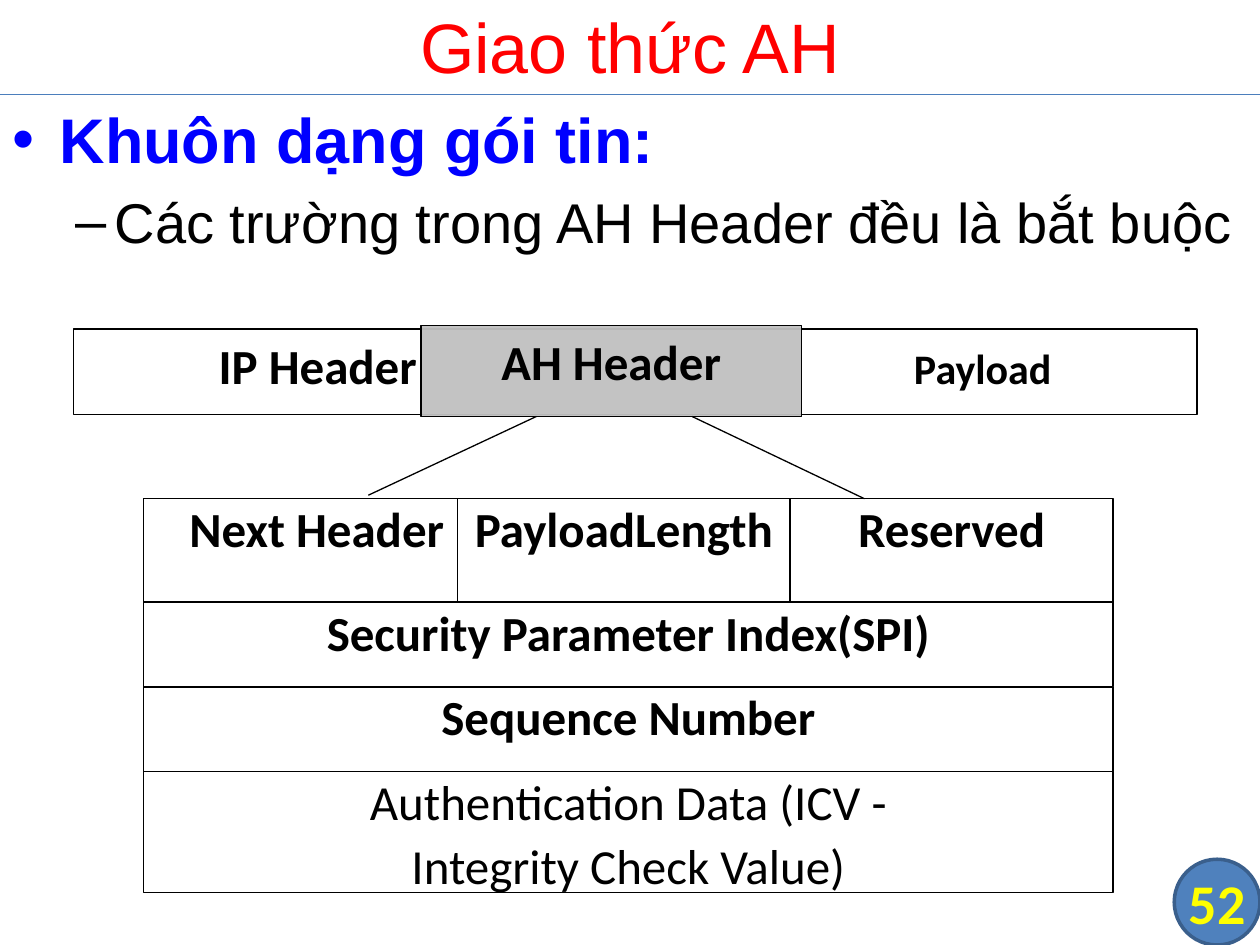
from lxml import etree
from pptx import Presentation
from pptx.dml.color import RGBColor
from pptx.enum import shapes, text
from pptx.oxml import ns
from pptx.util import Pt

TITLE_ONLY = 5
BLACK, WHITE = "000000", "FFFFFF"


def colour(value):
    return RGBColor.from_string(value)


def add_xml(parent, tag, **attributes):
    return etree.SubElement(parent, ns.qn(tag), attributes)


def add_span(para, words, size, hue=BLACK, font="Calibri", bold=False):
    span = para.add_run()
    span.text = words
    span.font.size, span.font.name, span.font.bold = Pt(size), font, bold
    span.font.color.rgb = colour(hue)


def set_frame(frame, anchor=text.MSO_ANCHOR.TOP, inset=(0, 0)):
    frame.word_wrap = True
    frame.vertical_anchor = anchor
    frame.margin_left = frame.margin_right = Pt(inset[0])
    frame.margin_top = frame.margin_bottom = Pt(inset[1])


def add_block(page, box, fill=WHITE, line=BLACK, weight=0.75,
              kind=shapes.MSO_SHAPE.RECTANGLE):
    block = page.shapes.add_shape(kind, *map(Pt, box))
    block.shadow.inherit = False
    block.fill.solid()
    block.fill.fore_color.rgb = colour(fill)
    block.line.color.rgb = colour(line)
    block.line.width = Pt(weight)
    set_frame(block.text_frame)
    return block


def add_line(page, start, end, hue=BLACK):
    line = page.shapes.add_connector(
        shapes.MSO_CONNECTOR.STRAIGHT, *map(Pt, start + end))
    line.line.color.rgb = colour(hue)
    line.line.width = Pt(0.75)
    add_xml(line._element.spPr, "a:effectLst")


def add_field(page, box, lines, bold=True, before=6):
    frame = add_block(page, box).text_frame
    for index, words in enumerate(lines):
        para = frame.add_paragraph() if index else frame.paragraphs[0]
        para.alignment = text.PP_ALIGN.CENTER
        para.space_before = Pt(before)
        add_span(para, words, 28, bold=bold)


def add_title(page, box):
    title = page.shapes.title
    title.left, title.top, title.width, title.height = map(Pt, box)
    set_frame(title.text_frame, text.MSO_ANCHOR.MIDDLE, (7.2, 3.6))
    para = title.text_frame.paragraphs[0]
    para.alignment = text.PP_ALIGN.CENTER
    add_span(para, "Giao thức AH", 40, "FF0000", "Arial")
    # Rule under the title
    left, top, width, height = box
    add_line(page, (left, top + height), (left + width, top + height), "4B7EBC")


def add_body(page, box):
    frame = page.shapes.add_textbox(*map(Pt, box)).text_frame
    set_frame(frame, inset=(7.2, 3.6))
    items = [
        ("Khuôn dạng gói tin:", 36, "0000FF", True, "•", 27, 27),
        ("Các trường trong AH Header đều là bắt buộc", 32, BLACK, False,
         "–", 58.5, 22.5),
    ]
    for index, (words, size, hue, bold, bullet, margin, hang) in enumerate(items):
        para = frame.add_paragraph() if index else frame.paragraphs[0]
        para.level = index
        para.space_before = Pt(size * 0.2)
        add_span(para, words, size, hue, "Arial", bold)
        props = para._p.get_or_add_pPr()
        props.set("marL", str(Pt(margin)))
        props.set("indent", str(-Pt(hang)))
        add_xml(props, "a:buFont", typeface="Arial")
        add_xml(props, "a:buChar", char=bullet)


def add_packet(page, box):
    left, top, width, height = box
    # Whole packet, its two outer labels centred on tab stops
    frame = add_block(page, box).text_frame
    set_frame(frame, inset=(7.2, 3.6))
    para = frame.paragraphs[0]
    para.alignment = text.PP_ALIGN.LEFT
    add_span(para, "\tIP Header", 28, bold=True)
    add_span(para, "\tPayload", 24, bold=True)
    stops = add_xml(para._p.get_or_add_pPr(), "a:tabLst")
    for position in (132.5, 512.5):
        add_xml(stops, "a:tab", pos=str(Pt(position)), algn="ctr")

    # AH header, slightly transparent, standing out of the packet
    header = add_block(page, (left + 198.5, top - 2, 217.5, height + 3), "C0C0C0")
    add_xml(header.fill._xPr.find(ns.qn("a:solidFill"))[0], "a:alpha", val="95000")
    set_frame(header.text_frame, inset=(7.2, 3.6))
    para = header.text_frame.paragraphs[0]
    para.alignment = text.PP_ALIGN.CENTER
    add_span(para, "AH Header", 28, bold=True)


def add_header_fields(page, box):
    left, top, width, height = box
    # First row: three fields, each covering the end of the one before
    columns = [("Next Header", 0, 198), ("PayloadLength", 179.5, 190),
               ("Reserved", 369.5, width - 369.5)]
    for words, offset, field_width in columns:
        add_field(page, (left + offset, top, field_width, 65), [words])
    # Full-width rows
    row_top = top + 59
    for words in ("Security Parameter Index(SPI)", "Sequence Number"):
        add_field(page, (left, row_top, width, 48.5), [words])
        row_top += 48.5
    add_field(page, (left, row_top, width, top + height - row_top),
              ["Authentication Data (ICV -", "Integrity Check Value)"],
              bold=False, before=3)


def add_page_number(page, box):
    badge = add_block(page, box, "4F81BD", "3A5F8C", 2,
                      shapes.MSO_SHAPE.FLOWCHART_CONNECTOR)
    set_frame(badge.text_frame, text.MSO_ANCHOR.MIDDLE)
    badge.text_frame.word_wrap = False
    para = badge.text_frame.paragraphs[0]
    para.alignment = text.PP_ALIGN.CENTER
    add_span(para, "52", 32, "FFFF00", bold=True)


def main():
    deck = Presentation()
    deck.slide_width, deck.slide_height = Pt(720), Pt(540)
    page = deck.slides.add_slide(deck.slide_layouts[TITLE_ONLY])
    add_title(page, (0, -2, 720, 56))
    add_body(page, (0, 54, 720, 486))
    add_header_fields(page, (82, 285, 554, 225))
    add_packet(page, (42, 188, 642, 49))
    # Lines that open the AH header into its fields
    add_line(page, (306.5, 238), (210.5, 283))
    add_line(page, (395.5, 238), (494, 285))
    add_page_number(page, (671, 491, 49, 49))
    deck.save("out.pptx")


if __name__ == "__main__":
    main()
